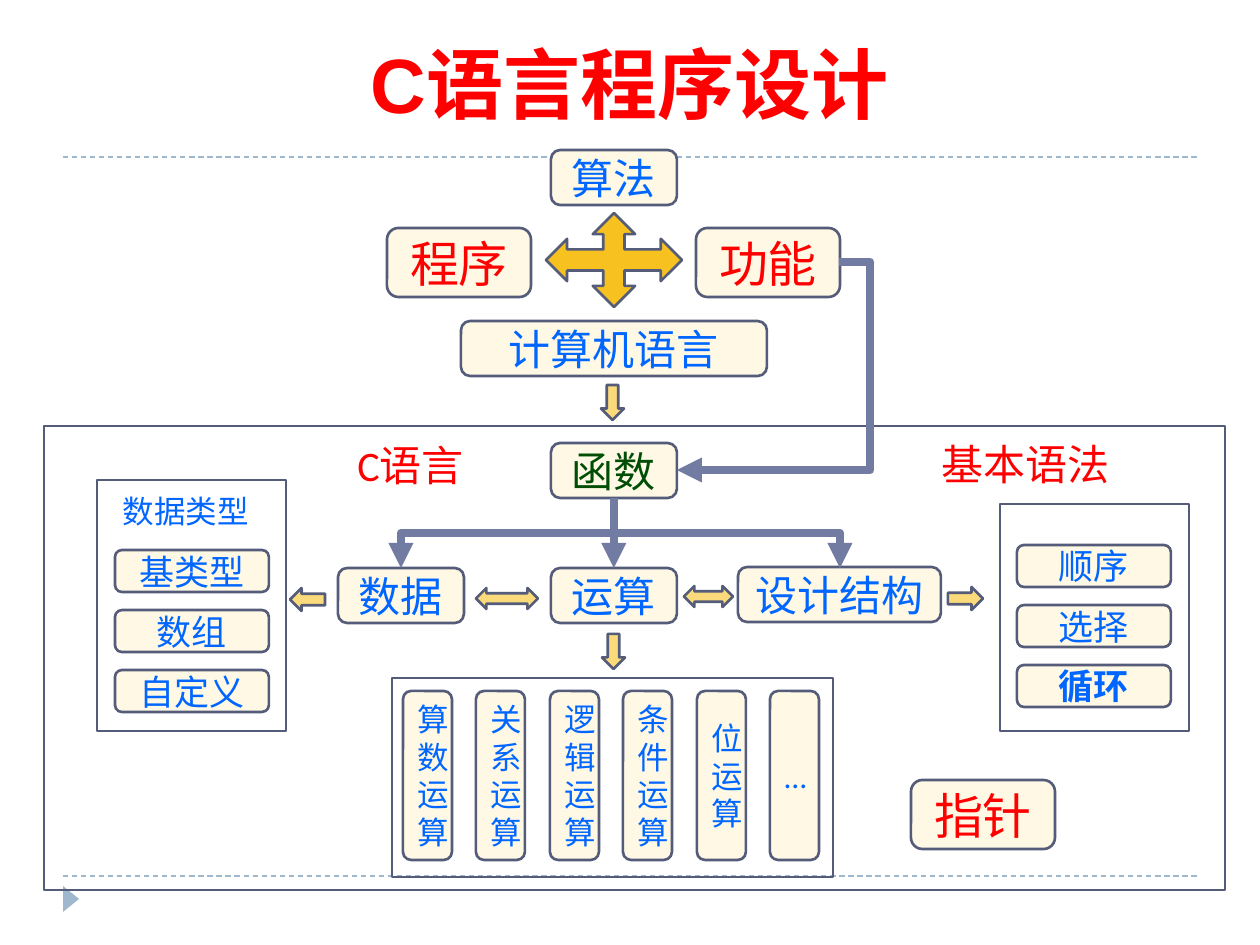
"""Build the C language programming concept map slide."""
from dataclasses import dataclass
from typing import Optional

from lxml import etree
from pptx import Presentation
from pptx.dml.color import RGBColor
from pptx.enum.dml import MSO_LINE
from pptx.enum.shapes import MSO_CONNECTOR, MSO_SHAPE
from pptx.enum.text import MSO_ANCHOR, PP_ALIGN
from pptx.oxml.ns import qn
from pptx.util import Emu, Inches, Pt

ROUND, RECT, TRIANGLE = MSO_SHAPE.ROUNDED_RECTANGLE, MSO_SHAPE.RECTANGLE, MSO_SHAPE.ISOSCELES_TRIANGLE
RIGHT, BOTH, QUAD = MSO_SHAPE.RIGHT_ARROW, MSO_SHAPE.LEFT_RIGHT_ARROW, MSO_SHAPE.QUAD_ARROW
STRAIGHT, ELBOW = MSO_CONNECTOR.STRAIGHT, MSO_CONNECTOR.ELBOW
LEFT, CENTER = PP_ALIGN.LEFT, PP_ALIGN.CENTER
MIDDLE, TOP, BOTTOM = MSO_ANCHOR.MIDDLE, MSO_ANCHOR.TOP, MSO_ANCHOR.BOTTOM
SCALE = 914400 // 126


@dataclass(frozen=True)
class Theme:
    """Colours, fonts and sizes of the slide."""
    title: str = "FF0000"
    red: str = "FE0000"
    blue: str = "0066FF"
    green: str = "004D05"
    cream: str = "FEF8E4"
    sand: str = "FADA7A"
    gold: str = "F7C120"
    outline: str = "545C79"
    flow: str = "727CA3"
    rule: str = "9FB8CD"
    font: str = "Calibri"
    title_font: str = "Arial"
    title_size: int = 44
    big: int = 28
    mid: int = 24
    small: int = 20
    tiny: int = 18
    outline_width: float = 1.5
    flow_width: float = 4.75
    rule_width: float = 0.75


T = Theme()


@dataclass(frozen=True)
class Shape:
    """A preset shape without text."""
    kind: MSO_SHAPE
    x: int
    y: int
    w: int
    h: int
    fill: Optional[str] = None
    line: Optional[str] = T.outline
    rot: int = 0


@dataclass(frozen=True)
class Node:
    """A rounded box with a centred label."""
    text: str
    x: int
    y: int
    w: int = 126
    h: int = 55
    size: int = T.mid
    color: str = T.blue
    bold: bool = False


@dataclass(frozen=True)
class Label:
    """A free-standing text."""
    text: str
    x: int
    y: int
    w: int
    h: int
    size: int = T.mid
    color: str = T.red
    align: PP_ALIGN = LEFT
    anchor: MSO_ANCHOR = TOP
    wrap: bool = True
    font: str = T.font
    bold: bool = False


def px(n: float) -> Emu:
    return Emu(round(n * SCALE))


def rgb(color: str) -> RGBColor:
    return RGBColor.from_string(color)


def set_text(s, text: str, size: int, color: str, bold: bool, align: PP_ALIGN,
             anchor: MSO_ANCHOR, font: str = T.font, wrap: bool = True) -> None:
    tf = s.text_frame
    tf.text, tf.word_wrap, tf.vertical_anchor = text, wrap, anchor
    p = tf.paragraphs[0]
    p.alignment = align
    f = p.runs[0].font
    f.name, f.size, f.bold = font, Pt(size), bold
    f.color.rgb = rgb(color)


def draw_shape(shapes, item: Shape):
    s = shapes.add_shape(item.kind, px(item.x), px(item.y), px(item.w), px(item.h))
    s.shadow.inherit = False
    s.rotation = item.rot
    if item.fill:
        s.fill.solid()
        s.fill.fore_color.rgb = rgb(item.fill)
    else:
        s.fill.background()
    if item.line:
        s.line.color.rgb = rgb(item.line)
        s.line.width = Pt(T.outline_width)
    else:
        s.line.fill.background()
    return s


def draw_node(shapes, n: Node) -> None:
    s = draw_shape(shapes, Shape(ROUND, n.x, n.y, n.w, n.h, T.cream))
    set_text(s, n.text, n.size, n.color, n.bold, CENTER, MIDDLE)


def draw_label(shapes, b: Label) -> None:
    s = shapes.add_textbox(px(b.x), px(b.y), px(b.w), px(b.h))
    set_text(s, b.text, b.size, b.color, b.bold, b.align, b.anchor, b.font, b.wrap)


def draw_line(shapes, kind: MSO_CONNECTOR, x1: float, y1: float, x2: float, y2: float,
              color: str, width: float):
    c = shapes.add_connector(kind, px(x1), px(y1), px(x2), px(y2))
    c.line.color.rgb = rgb(color)
    c.line.width = Pt(width)
    etree.SubElement(c.element.spPr, qn("a:effectLst"))
    return c


def draw_flow(shapes, x1: float, y1: float, x2: float, y2: float,
              rot: int = 0, bend: int = 50000) -> None:
    c = draw_line(shapes, ELBOW, x1, y1, x2, y2, T.flow, T.flow_width)
    pr = c.element.spPr
    pr.find(qn("a:xfrm")).set("rot", str(rot * 60000))
    guides = pr.find(qn("a:prstGeom")).find(qn("a:avLst"))
    etree.SubElement(guides, qn("a:gd"), name="adj1", fmla=f"val {bend}")
    etree.SubElement(pr.find(qn("a:ln")), qn("a:tailEnd"), type="triangle")


def draw_drop(shapes, x1: int, y1: int, x2: int, y2: int) -> None:
    """Draw an elbow that leaves downwards, as a turned horizontal one."""
    cx, cy, across, down = (x1 + x2) / 2, (y1 + y2) / 2, abs(x2 - x1) / 2, (y2 - y1) / 2
    side, rot = (-1, 90) if x2 < x1 else (1, 270)
    draw_flow(shapes, cx + side * down, cy - across, cx - side * down, cy + across, rot)


SHAPES = [
    Shape(TRIANGLE, 58, 891, 26, 16, T.rule, None, 90),
    Shape(RECT, 44, 426, 1181, 464),
    Shape(RECT, 97, 480, 189, 251),
    Shape(RECT, 1000, 504, 189, 227),
    Shape(RECT, 392, 678, 441, 199),
    Shape(QUAD, 546, 213, 136, 94, T.gold),
    Shape(BOTH, 476, 588, 62, 21, T.sand),
    Shape(BOTH, 684, 586, 49, 21, T.sand),
] + [Shape(RIGHT, x, y, 35, 23, T.sand, rot=rot)
     for x, y, rot in [(290, 588, 180), (948, 587, 0), (596, 640, 90), (595, 391, 90)]]

NODES = [Node(text, x, y, 144, 69, T.big, T.red)
         for text, x, y in [("程序", 387, 228), ("功能", 696, 228), ("指针", 911, 780)]]
NODES += [
    Node("算法", 551, 150),
    Node("计算机语言", 461, 321, 306),
    Node("函数", 551, 443, color=T.green),
    Node("数据", 338, 568),
    Node("运算", 551, 568),
    Node("设计结构", 738, 567, 203),
]
NODES += [Node(text, x, y + 60 * i, 154, 42, T.small, bold=text == "循环")
          for x, y, names in [(115, 550, ("基类型", "数组", "自定义")),
                              (1017, 545, ("顺序", "选择", "循环"))]
          for i, text in enumerate(names)]
OPERATIONS = ("算数运算", "关系运算", "逻辑运算", "条件运算", "位运算", "…")
NODES += [Node(text, round(403 + 73.4 * i), 691, 49, 169, T.tiny)
          for i, text in enumerate(OPERATIONS)]

LABELS = [
    Label("C语言程序设计", 63, -1, 1134, 136, T.title_size, T.title, CENTER, BOTTOM,
          font=T.title_font, bold=True),
    Label("基本语法", 929, 432, 207, 63),
    Label("C语言", 345, 433, 169, 63),
    Label("数据类型", 110, 486, 152, 50, T.tiny, T.blue, CENTER, wrap=False),
]


def main() -> None:
    prs = Presentation()
    prs.slide_width, prs.slide_height = Inches(10), Inches(7.5)
    shapes = prs.slides.add_slide(prs.slide_layouts[6]).shapes
    for y in (157, 876):
        rule = draw_line(shapes, STRAIGHT, 63, y, 1197, y, T.rule, T.rule_width)
        rule.line.dash_style = MSO_LINE.DASH
    for item in SHAPES:
        draw_shape(shapes, item)
    for node in NODES:
        draw_node(shapes, node)
    for label in LABELS:
        draw_label(shapes, label)
    for x in (401, 614, 840):
        draw_drop(shapes, 614, 498, x, 568)
    draw_flow(shapes, 839, 262, 677, 470, bend=-19400)
    prs.save("out.pptx")


main()
